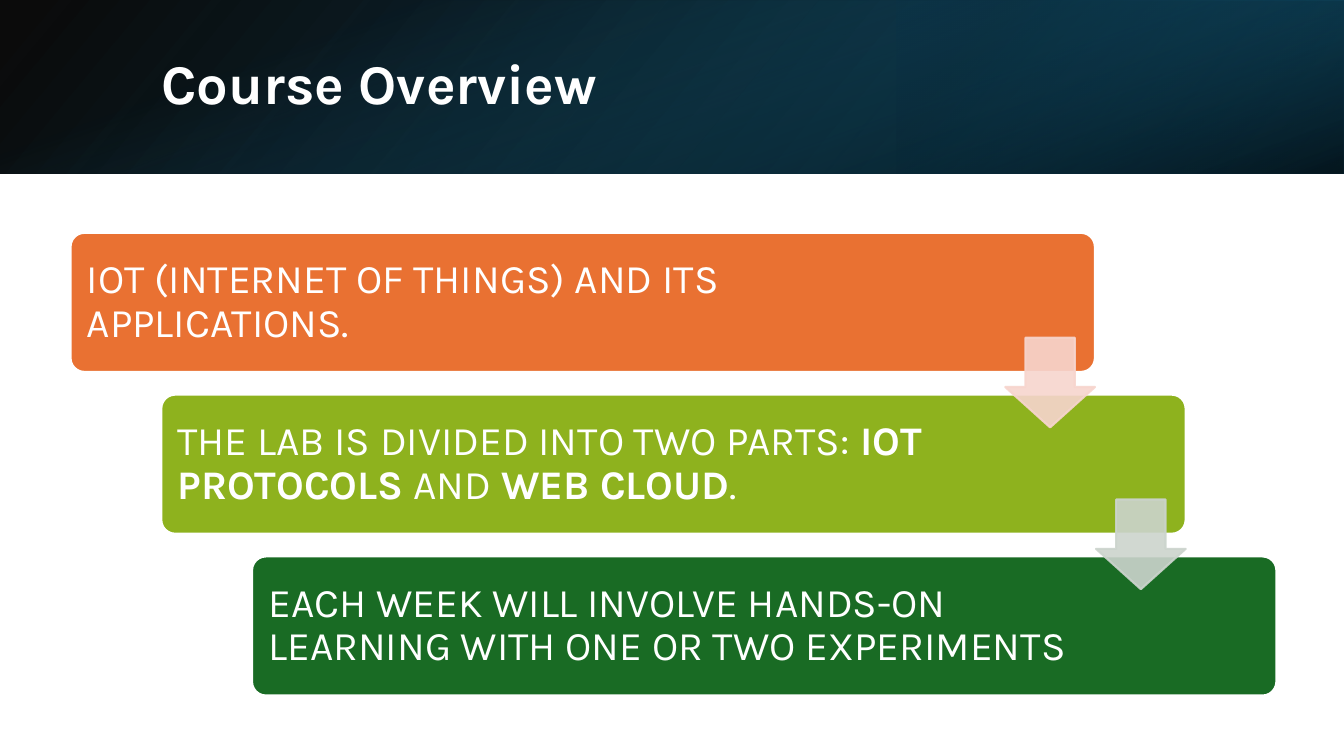
"""Build the course overview slide: a gradient header and three stepped cards."""
from lxml.etree import SubElement
from pptx import Presentation
from pptx.dml.color import RGBColor
from pptx.enum.shapes import MSO_SHAPE
from pptx.enum.text import MSO_ANCHOR, PP_ALIGN
from pptx.oxml.ns import qn
from pptx.util import Inches, Pt

FONT = "Karla"
WHITE = "FFFFFF"
CARD_WIDTH, CARD_HEIGHT = 10.16, 1.38
CARD_LEFT, CARD_TOP = 0.7, 2.31
STEP_X, STEP_Y = 0.9, 1.605
ARROW_LEFT, ARROW_TOP, ARROW_SIZE = 9.97, 3.35, 0.89

BANDS = [
    ((0, 0, 13.33, 1.72), 0, True, 140,
     [(0, "000000", 96), (100, "104862", 100)]),
    ((8.89, 0, 4.44, 1.72), 180, True, 320,
     [(19, "0B3041", 68), (100, "156082", 79)]),
    ((5.8, -5.8, 1.72, 13.33), 90, False, 340,
     [(23, "156082", 0), (99, "000000", 74)]),
]
CARDS = [
    ("E97132", 8.67,
     [("IOT (INTERNET OF THINGS) AND ITS APPLICATIONS.", False)]),
    ("8EB21E", 8.29,
     [("THE LAB IS DIVIDED INTO TWO PARTS: ", False), ("IOT PROTOCOLS", True),
      (" AND ", False), ("WEB CLOUD", True), (".", False)]),
    ("196B24", 8.29,
     [("EACH WEEK WILL INVOLVE HANDS-ON LEARNING WITH ONE OR TWO EXPERIMENTS", False)]),
]
ARROW_COLORS = ["F7D5CE", "CCD4CD"]


def rgb(color):
    """Turn a hex string into a colour."""
    return RGBColor.from_string(color)


def set_alpha(parent, percent):
    """Set the opacity of every colour below an element."""
    for clr in parent.iter(qn("a:srgbClr")):
        SubElement(clr, qn("a:alpha")).set("val", str(percent * 1000))


def add_box(slide, kind, box, fill, line=None):
    """Add a preset shape with a plain fill and an optional outline."""
    sp = slide.shapes.add_shape(kind, *map(Inches, box))
    sp.shadow.inherit = False
    sp.fill.solid()
    sp.fill.fore_color.rgb = rgb(fill)
    if line:
        sp.line.color.rgb = rgb(line)
        sp.line.width = Pt(1.5)
    else:
        sp.line.fill.background()
    return sp


def add_band(slide, box, rotation, flipped, angle, stops):
    """Add one translucent gradient layer of the header."""
    sp = add_box(slide, MSO_SHAPE.RECTANGLE, box, WHITE)
    sp.rotation = rotation
    spPr = sp._element.spPr
    if flipped:
        spPr.find(qn("a:xfrm")).set("flipH", "1")
    solid = spPr.find(qn("a:solidFill"))
    grad = SubElement(spPr, qn("a:gradFill"))
    grad.set("rotWithShape", "1")
    spPr.replace(solid, grad)
    gs_list = SubElement(grad, qn("a:gsLst"))
    for position, color, alpha in stops:
        gs = SubElement(gs_list, qn("a:gs"))
        gs.set("pos", str(position * 1000))
        SubElement(gs, qn("a:srgbClr")).set("val", color)
        set_alpha(gs, alpha)
    lin = SubElement(grad, qn("a:lin"))
    lin.set("ang", str(angle * 60000))
    lin.set("scaled", "0")


def write_runs(tf, runs, size):
    """Write runs of plain and bold text into one paragraph."""
    tf.word_wrap = True
    tf.vertical_anchor = MSO_ANCHOR.MIDDLE
    p = tf.paragraphs[0]
    p.alignment = PP_ALIGN.LEFT
    p.line_spacing = 0.9
    for text, bold in runs:
        r = p.add_run()
        r.text = text
        r.font.name = FONT
        r.font.size = Pt(size)
        r.font.bold = bold
        r.font.color.rgb = rgb(WHITE)


def add_title(slide, text):
    """Place the title in front of the header."""
    title = slide.shapes.title
    title.left, title.top, title.width, title.height = map(Inches, (1.5, 0.38, 10.98, 0.96))
    write_runs(title.text_frame, [(text, True)], 40)
    slide.shapes._spTree.append(title._element)


def add_card(slide, index, fill, text_width, runs):
    """Add one stepped card and its text."""
    left, top = CARD_LEFT + index * STEP_X, CARD_TOP + index * STEP_Y
    sp = add_box(slide, MSO_SHAPE.ROUNDED_RECTANGLE,
                 (left, top, CARD_WIDTH, CARD_HEIGHT), fill, WHITE)
    sp.adjustments[0] = 0.1
    box = (left + 0.04, top + 0.04, text_width, CARD_HEIGHT - 0.08)
    tf = slide.shapes.add_textbox(*map(Inches, box)).text_frame
    tf.margin_left = tf.margin_right = tf.margin_top = tf.margin_bottom = Inches(0.12)
    write_runs(tf, runs, 29)


def add_arrow(slide, index, color):
    """Add the arrow that leads from one card to the next."""
    box = (ARROW_LEFT + index * STEP_X, ARROW_TOP + index * STEP_Y, ARROW_SIZE, ARROW_SIZE)
    sp = add_box(slide, MSO_SHAPE.DOWN_ARROW, box, color, color)
    sp.adjustments[0], sp.adjustments[1] = 0.55, 0.45
    set_alpha(sp._element.spPr, 90)


def main():
    """Build and save the slide."""
    prs = Presentation()
    prs.slide_width, prs.slide_height = Inches(13.33), Inches(7.5)
    slide = prs.slides.add_slide(prs.slide_layouts[5])
    for band in BANDS:
        add_band(slide, *band)
    add_title(slide, "Course Overview")
    for index, card in enumerate(CARDS):
        add_card(slide, index, *card)
    for index, color in enumerate(ARROW_COLORS):
        add_arrow(slide, index, color)
    prs.save("out.pptx")


if __name__ == "__main__":
    main()
